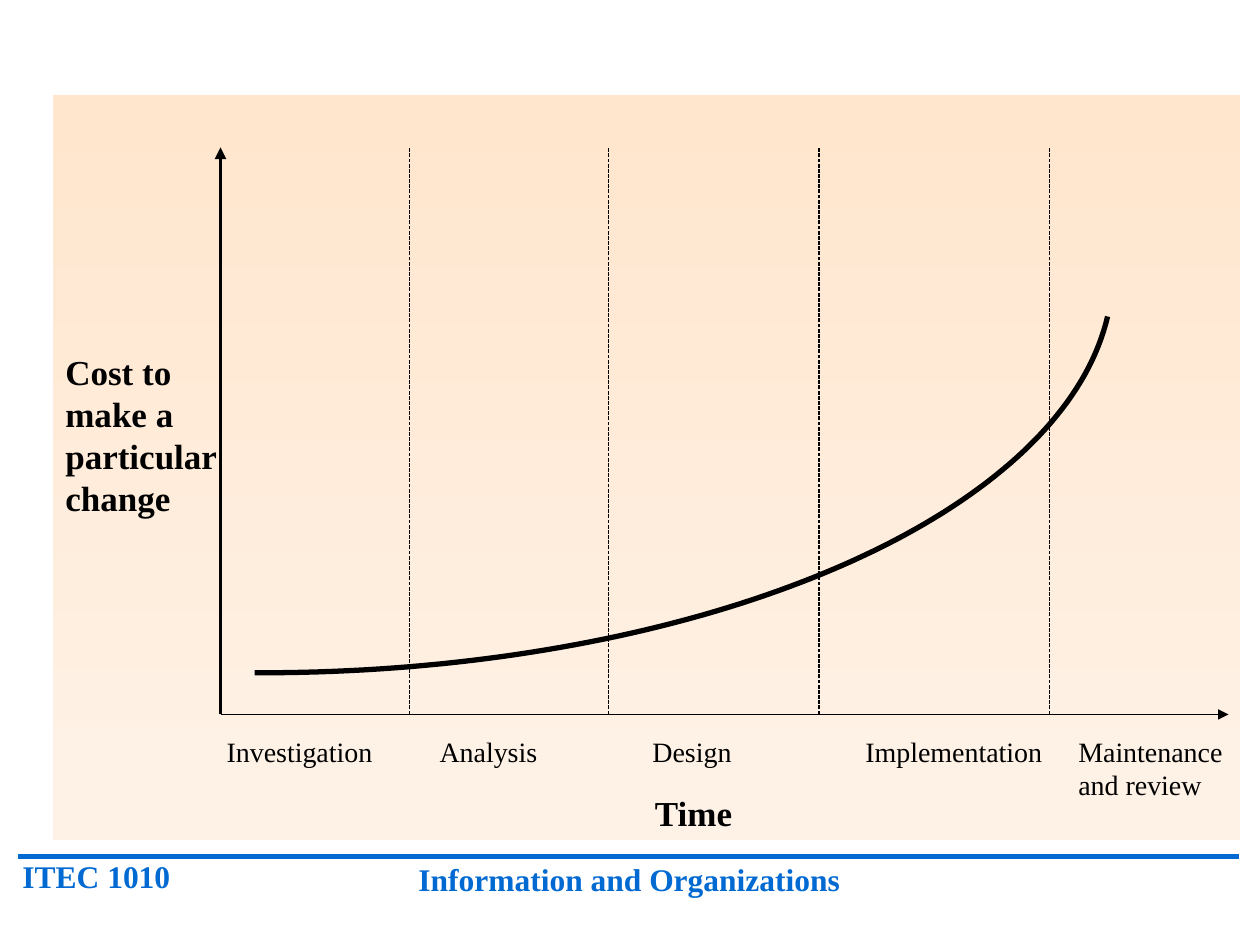
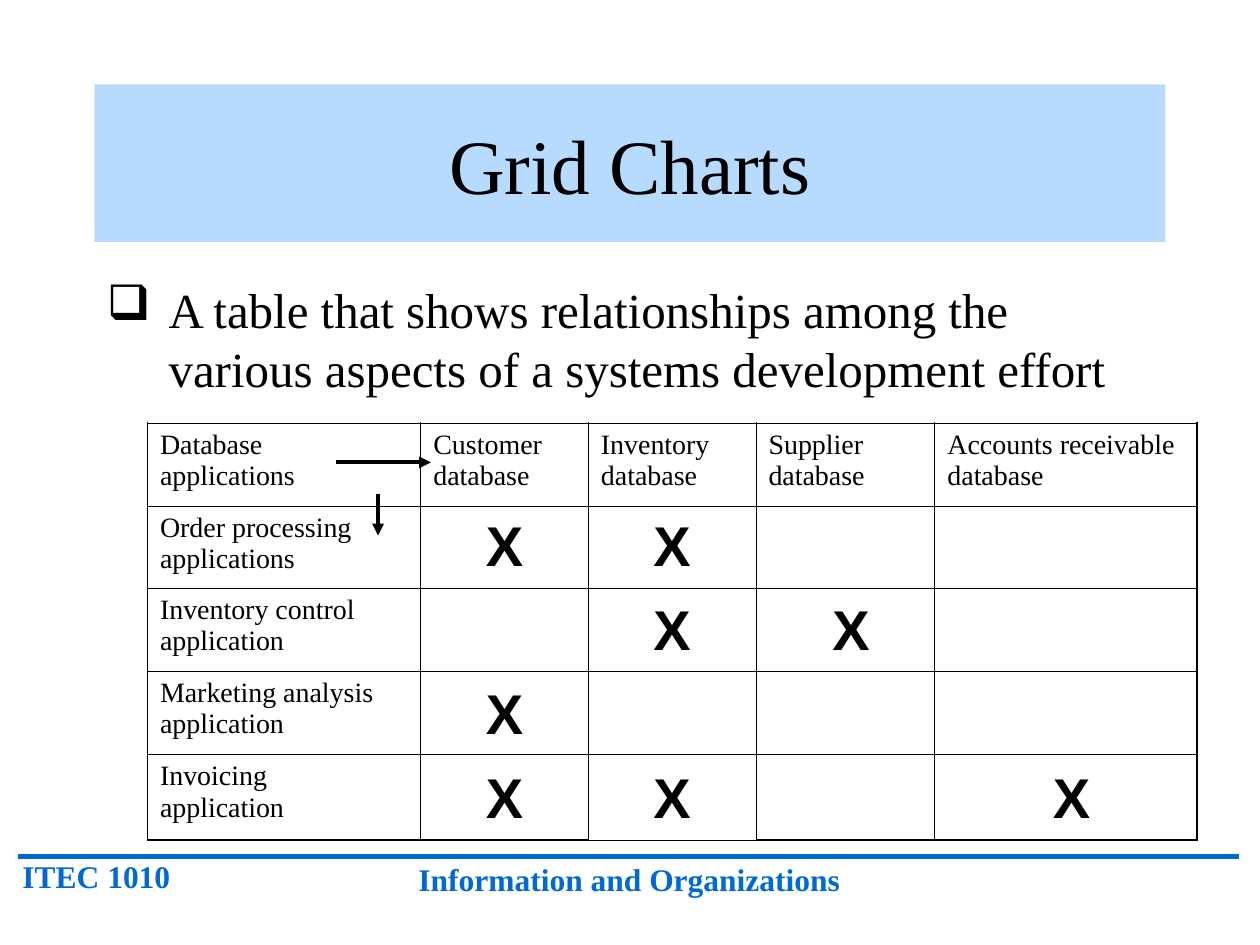
import math

import pptx
import pptx.dml.color
import pptx.enum.dml
import pptx.enum.shapes
import pptx.enum.text
import pptx.oxml
import pptx.oxml.ns
import pptx.util
from pptx.util import Inches

BLACK, BLUE, PALE = "000000", "0069D2", "B7DBFF"
SAND, CREAM = "FFE6CD", "FEF2E7"
SERIF, SANS = "Times New Roman", "Arial"
ALIGN = pptx.enum.text.PP_ALIGN
TAB = 1.69

PHASES = ["Investigation", "Analysis", "Design", "Implementation", "Maintenance"]
HEADS = ["Database\napplications", "Customer\ndatabase", "Inventory\ndatabase",
         "Supplier\ndatabase", "Accounts receivable\ndatabase"]
APPS = ["Order processing\napplications", "Inventory control\napplication",
        "Marketing analysis\napplication", "Invoicing\napplication"]
MARKS = ["XX--", "-XX-", "X---", "XX-X"]
MARK_LEFTS = [3.67, 5, 6.42, 8.17]
COLS = [2.17, 1.33, 1.33, 1.42, 2.08]
ROWS = [0.66, 0.65, 0.66, 0.66, 0.68]


def color(code):
    return pptx.dml.color.RGBColor.from_string(code)


def add_xml(parent, tag, inner="", **attrs):
    """Append one DrawingML element with the given attributes."""
    pairs = " ".join(f'{key}="{val}"' for key, val in attrs.items())
    space = pptx.oxml.ns.nsdecls("a")
    node = pptx.oxml.parse_xml(f"<a:{tag} {space} {pairs}>{inner}</a:{tag}>")
    parent.append(node)


def write(frame, text, size=16, font=SERIF, tint=BLACK, bold=False,
          align=ALIGN.LEFT, right=0.1):
    """Fill a text frame; a list gives one paragraph per item."""
    frame.word_wrap = True
    frame.margin_right = Inches(right)
    lines = [text] if isinstance(text, str) else text
    for num, line in enumerate(lines):
        para = frame.add_paragraph() if num else frame.paragraphs[0]
        para.text = line
        para.alignment = align
        for run in para.runs:
            run.font.size = pptx.util.Pt(size)
            run.font.name = font
            run.font.bold = bold
            run.font.color.rgb = color(tint)
    return frame


def add_text(slide, box, text, **style):
    shape = slide.shapes.add_textbox(*map(Inches, box))
    return write(shape.text_frame, text, **style)


def add_panel(slide, box):
    kind = pptx.enum.shapes.MSO_SHAPE.RECTANGLE
    shape = slide.shapes.add_shape(kind, *map(Inches, box))
    shape.shadow.inherit = False
    shape.line.fill.background()
    return shape


def add_line(slide, start, end, width, tint=BLACK, arrow=False, dash=False):
    kind = pptx.enum.shapes.MSO_CONNECTOR.STRAIGHT
    link = slide.shapes.add_connector(kind, *map(Inches, (*start, *end)))
    link.line.width = pptx.util.Pt(width)
    link.line.color.rgb = color(tint)
    if dash:
        link.line.dash_style = pptx.enum.dml.MSO_LINE.SQUARE_DOT
    props = link.element.spPr
    if arrow:
        add_xml(props.find(pptx.oxml.ns.qn("a:ln")), "tailEnd", type="triangle")
    add_xml(props, "effectLst")


def add_arc(slide, center, radii, first, last, steps=80):
    """Draw an open part of an ellipse between two angles in degrees."""
    points = []
    for step in range(steps + 1):
        angle = math.radians(first + (last - first) * step / steps)
        points.append((Inches(center[0] + radii[0] * math.cos(angle)),
                       Inches(center[1] + radii[1] * math.sin(angle))))
    path = slide.shapes.build_freeform(*points[0])
    path.add_line_segments(points[1:], close=False)
    curve = path.convert_to_shape()
    curve.shadow.inherit = False
    curve.fill.background()
    curve.line.color.rgb = color(BLACK)
    curve.line.width = pptx.util.Pt(3)


def add_edges(cell, thick):
    """Border a cell; sides named in thick get the heavier line."""
    props = cell._tc.get_or_add_tcPr()
    fill = f'<a:solidFill><a:srgbClr val="{BLACK}"/></a:solidFill>'
    for side in "LRTB":
        width = pptx.util.Pt(1.08 if side in thick else 0.45)
        add_xml(props, "ln" + side, fill, w=width)


def add_grid(slide):
    rows, cols = len(ROWS), len(COLS)
    frame = slide.shapes.add_table(rows, cols, Inches(1.17), Inches(3.36),
                                   Inches(sum(COLS)), Inches(sum(ROWS)))
    table = frame.table
    table.first_row = table.horz_banding = False
    for col, width in zip(table.columns, COLS):
        col.width = Inches(width)
    for row, height in zip(table.rows, ROWS):
        row.height = Inches(height)
    for r in range(rows):
        for c in range(cols):
            cell = table.cell(r, c)
            outer = {"L": c == 0, "R": c == cols - 1, "T": r == 0,
                     "B": r == rows - 1 and c != 2}
            add_edges(cell, [side for side, on in outer.items() if on])
            cell.fill.background()
            if r == 0:
                write(cell.text_frame, HEADS[c])
            elif c == 0:
                write(cell.text_frame, APPS[r - 1])


def add_slide(deck):
    """Add a blank slide with the course footer."""
    slide = deck.slides.add_slide(deck.slide_layouts[6])
    style = dict(size=18, tint=BLUE, bold=True)
    add_line(slide, (0.14, 6.8), (9.83, 6.8), 3, BLUE)
    add_text(slide, (0.08, 6.75, 1.67, 0.4), "ITEC 1010", **style)
    add_text(slide, (2.58, 6.78, 4.83, 0.4), "Information and Organizations",
             align=ALIGN.CENTER, **style)
    return slide


def add_phases(slide):
    """Write the phase names along the time axis, set on even tabs."""
    frame = add_text(slide, (1.7, 5.78, 8.11, 0.64),
                     ["\t".join(PHASES), "and review"], right=0)
    stops = "".join(f'<a:tab pos="{Inches(TAB * num)}" algn="l"/>'
                    for num in range(1, len(PHASES)))
    first, second = (para._p.get_or_add_pPr() for para in frame.paragraphs)
    add_xml(first, "tabLst", stops)
    second.set("marL", str(Inches(TAB * (len(PHASES) - 1))))
    second.set("indent", "0")


def cost_slide(deck):
    slide = add_slide(deck)
    panel = add_panel(slide, (0.42, 0.75, 9.42, 5.92))
    panel.fill.gradient()
    panel.fill.gradient_angle = 270
    for stop, tint in zip(panel.fill.gradient_stops, (SAND, CREAM)):
        stop.color.rgb = color(tint)
    base, top = 5.67, 1.17
    add_line(slide, (1.75, base), (1.75, top), 2.25, arrow=True)
    add_line(slide, (1.75, base), (9.75, base), 0.75, arrow=True)
    add_text(slide, (0.42, 2.73, 1.4, 1.44),
             ["Cost to\nmake a", "particular\nchange"],
             size=20, bold=True, right=0)
    add_phases(slide)
    for x in (3.25, 4.83, 6.5, 8.33):
        add_line(slide, (x, base), (x, top), 0.75, dash=True)
    add_arc(slide, (2.08, 2.17), (6.75, 3.17), 90.5, 6.2)
    add_text(slide, (4.92, 6.23, 1.17, 0.44), "Time",
             size=20, bold=True, align=ALIGN.CENTER)


def grid_slide(deck):
    slide = add_slide(deck)
    band = add_panel(slide, (0.75, 0.67, 8.5, 1.25))
    band.fill.solid()
    band.fill.fore_color.rgb = color(PALE)
    write(band.text_frame, "Grid Charts", size=44, align=ALIGN.CENTER)
    body = add_text(slide, (0.75, 2.17, 8.5, 1.83),
                    "A table that shows relationships among the various "
                    "aspects of a systems development effort", size=28)
    props = body.paragraphs[0]._p.get_or_add_pPr()
    props.set("marL", str(Inches(0.49)))
    props.set("indent", str(-Inches(0.49)))
    add_xml(props, "buChar", char="❑")
    add_grid(slide)
    add_line(slide, (2.67, 3.67), (3.42, 3.67), 2.25, arrow=True)
    add_line(slide, (3, 3.92), (3, 4.25), 2.25, arrow=True)
    for row, marks in enumerate(MARKS):
        for left, mark in zip(MARK_LEFTS, marks):
            if mark == "X":
                add_text(slide, (left, 4 + row * 2 / 3, 0.67, 0.64), mark,
                         size=32, font=SANS, bold=True, align=ALIGN.CENTER)


def main():
    deck = pptx.Presentation()
    deck.slide_width, deck.slide_height = Inches(10), Inches(7.5)
    cost_slide(deck)
    grid_slide(deck)
    deck.save("out.pptx")


if __name__ == "__main__":
    main()
